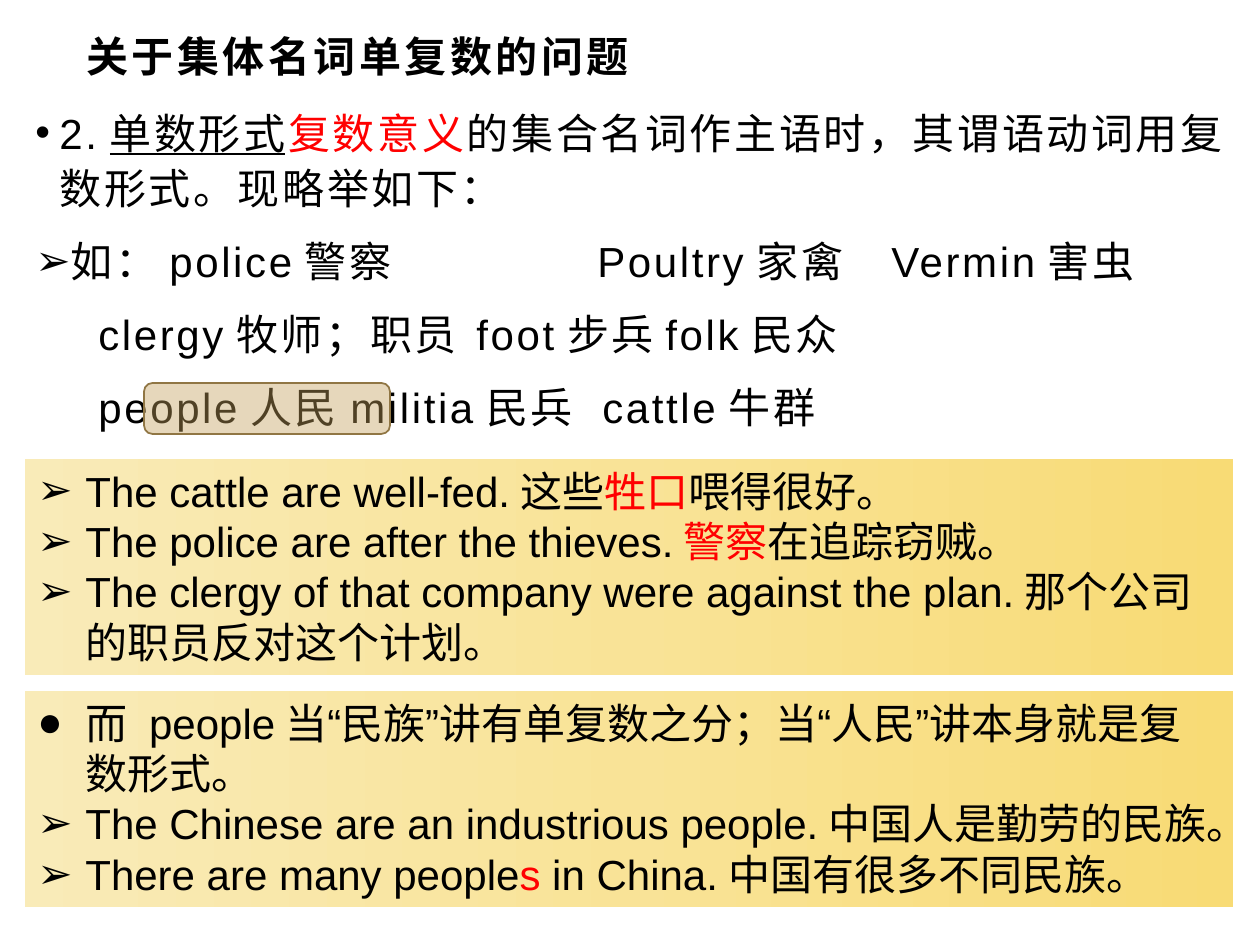
"""Build a grammar slide on collective nouns that take plural verbs."""
from copy import deepcopy
from dataclasses import dataclass

from lxml import etree
from pptx import Presentation
from pptx.dml.color import RGBColor
from pptx.enum.shapes import MSO_SHAPE
from pptx.enum.text import MSO_ANCHOR, MSO_AUTO_SIZE, PP_ALIGN
from pptx.oxml.ns import qn
from pptx.util import Emu, Pt

RECTANGLE = MSO_SHAPE.RECTANGLE
ROUNDED = MSO_SHAPE.ROUNDED_RECTANGLE
TOP, MIDDLE = MSO_ANCHOR.TOP, MSO_ANCHOR.MIDDLE
GROW = MSO_AUTO_SIZE.SHAPE_TO_FIT_TEXT
LEFT = PP_ALIGN.LEFT
PIXELS_PER_INCH = 126
ARROW, DOT, DISC = "➢", "•", "●"


@dataclass(frozen=True)
class Theme:
    font: str = "Arial"
    size: int = 24
    ink: str = "000000"
    accent: str = "FF0000"
    gradient: tuple[str, ...] = ("F9EBB8", "F9E397", "F8DB75")
    highlight: str = "C3A05C"
    highlight_line: str = "907644"
    highlight_alpha: int = 41


@dataclass(frozen=True)
class Area:
    left: int
    top: int
    width: int
    height: int


@dataclass(frozen=True)
class Span:
    text: str
    accent: bool = False
    underline: bool = False
    bold: bool = False


@dataclass(frozen=True)
class Line:
    spans: tuple[Span, ...]
    bullet: str = ""
    indent: int = 0
    tabs: tuple[int, ...] = ()


@dataclass(frozen=True)
class TextStyle:
    tracking: float = 0
    line_spacing: float = 1.0
    space_after: int = 0
    anchor: MSO_ANCHOR = TOP


THEME = Theme()
TITLE_AREA = Area(74, 26, 1121, 60)
RULE_AREA = Area(23, 96, 1226, 364)
HIGHLIGHT_AREA = Area(144, 383, 246, 51)
PANEL_AREAS = (Area(25, 459, 1208, 216), Area(25, 691, 1208, 216))
TITLE_STYLE = TextStyle(tracking=2, anchor=MIDDLE)
RULE_STYLE = TextStyle(tracking=1.5, line_spacing=1.1, space_after=10)
PANEL_STYLE = TextStyle()

TITLE = (Line((Span("关于集体名词单复数的问题", bold=True),)),)
RULE = (
    Line((Span("2."), Span("单数形式", underline=True), Span("复数意义", accent=True),
          Span("的集合名词作主语时，其谓语动词用复数形式。现略举如下：")), DOT, 24),
    Line((Span("如：\tpolice警察\tPoultry家禽\tVermin害虫"),), ARROW, 0, (134, 562, 856)),
    Line((Span("\tclergy牧师；职员\tfoot步兵\tfolk民众"),), tabs=(113, 569, 868)),
    Line((Span("\tpeople人民\tmilitia民兵\tcattle牛群"),), tabs=(113, 546, 853)),
)
EXAMPLES = (
    Line((Span("The cattle are well-fed.这些"), Span("牲口", accent=True),
          Span("喂得很好。")), ARROW, 48),
    Line((Span("The police are after the thieves."), Span("警察", accent=True),
          Span("在追踪窃贼。")), ARROW, 48),
    Line((Span("The clergy of that company were against the plan."
               "那个公司的职员反对这个计划。"),), ARROW, 48),
)
PEOPLE_NOTES = (
    Line((Span("而 people当“民族”讲有单复数之分；当“人民”讲本身就是复数形式。"),), DISC, 48),
    Line((Span("The Chinese are an industrious people.中国人是勤劳的民族。"),), ARROW, 48),
    Line((Span("There are many people"), Span("s", accent=True),
          Span(" in China.中国有很多不同民族。")), ARROW, 48),
)


def px(value: int) -> Emu:
    """Turn pixels into EMU."""
    return Emu(round(value * 914400 / PIXELS_PER_INCH))


def frame(area: Area) -> tuple[Emu, ...]:
    """Give an area's position and size in EMU."""
    return px(area.left), px(area.top), px(area.width), px(area.height)


def format_paragraph(paragraph, line: Line, style: TextStyle) -> None:
    """Set spacing, indent, bullet and tab stops."""
    paragraph.alignment = LEFT
    paragraph.line_spacing = style.line_spacing
    paragraph.space_after = Pt(style.space_after)
    properties = paragraph._p.get_or_add_pPr()
    properties.set("marL", str(px(line.indent)))
    properties.set("indent", str(-px(line.indent)))
    if line.bullet:
        etree.SubElement(properties, qn("a:buFont"), typeface=THEME.font)
        etree.SubElement(properties, qn("a:buChar"), char=line.bullet)
    else:
        etree.SubElement(properties, qn("a:buNone"))
    if line.tabs:
        tab_list = etree.SubElement(properties, qn("a:tabLst"))
        for position in line.tabs:
            etree.SubElement(tab_list, qn("a:tab"), pos=str(px(position)), algn="l")


def add_span(paragraph, span: Span, style: TextStyle) -> None:
    """Append one formatted run."""
    run = paragraph.add_run()
    run.text = span.text
    font = run.font
    font.name = THEME.font
    font.size = Pt(THEME.size)
    font.bold = span.bold
    font.underline = span.underline
    font.color.rgb = RGBColor.from_string(THEME.accent if span.accent else THEME.ink)
    properties = run._r.get_or_add_rPr()
    properties.set("spc", str(round(style.tracking * 100)))
    etree.SubElement(properties, qn("a:ea"), typeface=THEME.font)


def write_lines(shape, lines: tuple[Line, ...], style: TextStyle) -> None:
    """Fill a shape with formatted paragraphs."""
    text_frame = shape.text_frame
    text_frame.word_wrap = True
    text_frame.vertical_anchor = style.anchor
    for index, line in enumerate(lines):
        paragraph = text_frame.add_paragraph() if index else text_frame.paragraphs[0]
        format_paragraph(paragraph, line, style)
        for span in line.spans:
            add_span(paragraph, span, style)


def add_text(page, area: Area, lines: tuple[Line, ...], style: TextStyle) -> None:
    """Add a plain text box."""
    write_lines(page.shapes.add_textbox(*frame(area)), lines, style)


def add_panel(page, area: Area, lines: tuple[Line, ...]) -> None:
    """Add a gradient panel holding bulleted sentences."""
    panel = page.shapes.add_shape(RECTANGLE, *frame(area))
    panel.shadow.inherit = False
    panel.line.fill.background()
    panel.fill.gradient()
    panel.fill.gradient_angle = 0
    stop_list = panel._element.spPr.find(qn("a:gradFill")).find(qn("a:gsLst"))
    stop_list.append(deepcopy(stop_list[-1]))
    for index, (stop, color) in enumerate(zip(panel.fill.gradient_stops, THEME.gradient)):
        stop.position = index / (len(THEME.gradient) - 1)
        stop.color.rgb = RGBColor.from_string(color)
    write_lines(panel, lines, PANEL_STYLE)
    panel.text_frame.auto_size = GROW


def add_highlight(page, area: Area) -> None:
    """Add the translucent marker over a word."""
    marker = page.shapes.add_shape(ROUNDED, *frame(area))
    marker.shadow.inherit = False
    marker.fill.solid()
    marker.fill.fore_color.rgb = RGBColor.from_string(THEME.highlight)
    color = marker._element.spPr.find(qn("a:solidFill"))[0]
    etree.SubElement(color, qn("a:alpha"), val=str(THEME.highlight_alpha * 1000))
    marker.line.color.rgb = RGBColor.from_string(THEME.highlight_line)
    marker.line.width = Pt(1)


def main() -> None:
    """Assemble and save the deck."""
    deck = Presentation()
    deck.slide_width, deck.slide_height = px(1260), px(945)
    page = deck.slides.add_slide(deck.slide_layouts[6])
    add_text(page, TITLE_AREA, TITLE, TITLE_STYLE)
    add_text(page, RULE_AREA, RULE, RULE_STYLE)
    add_panel(page, PANEL_AREAS[0], EXAMPLES)
    add_highlight(page, HIGHLIGHT_AREA)
    add_panel(page, PANEL_AREAS[1], PEOPLE_NOTES)
    deck.save("out.pptx")


if __name__ == "__main__":
    main()
